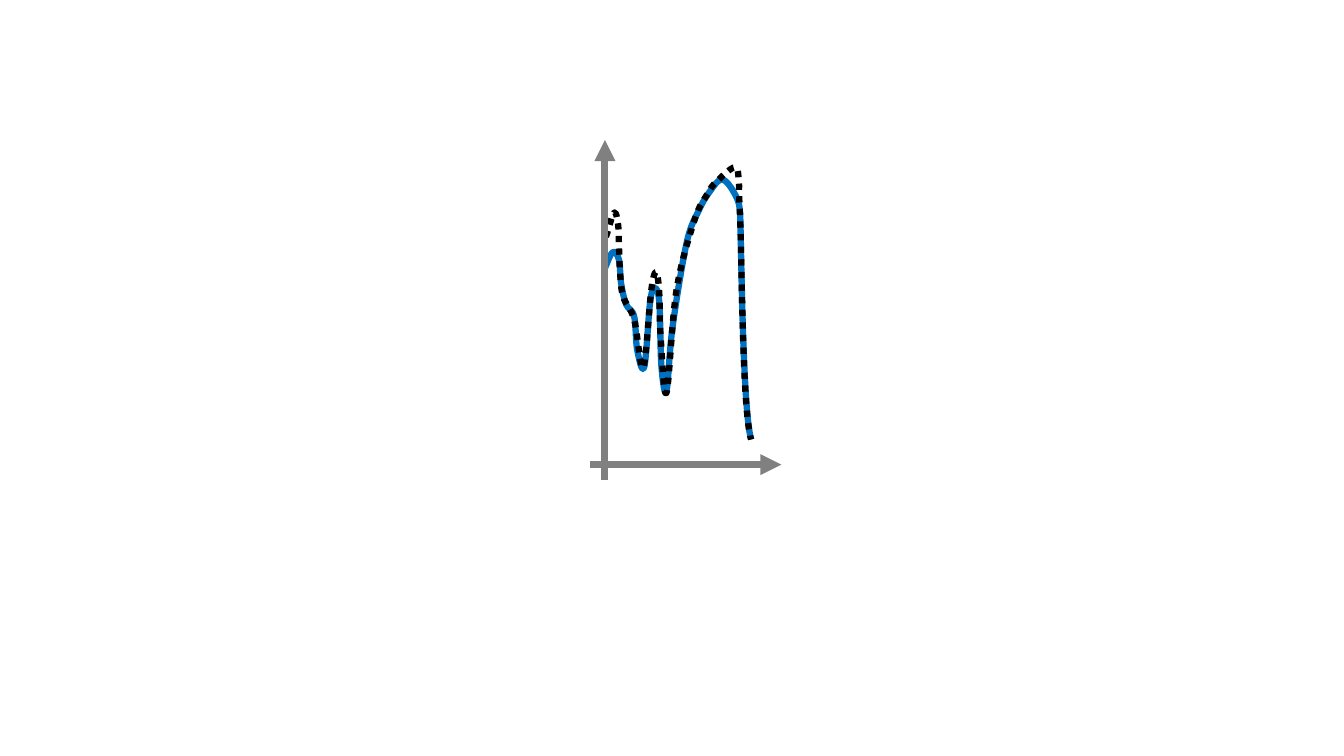
from pptx import Presentation
from pptx import util as u
from pptx.dml.color import RGBColor
from pptx.enum import dml, shapes
from pptx.oxml import ns
from lxml import etree

SMOOTH = {
    "bump": [(6, 2.66), (6.08, 2.5), (6.14, 2.58)],
    "shelf": [(6.16, 2.81), (6.21, 3.02), (6.29, 3.14)],
    "dip": [(6.32, 3.47), (6.39, 3.64), (6.45, 2.98)],
    "spike": [(6.5, 2.86), (6.54, 3.01), (6.56, 3.63)],
    "climb": [(6.61, 3.88), (6.67, 3.25), (6.81, 2.41), (6.93, 2.09), (7.04, 1.9)],
    "fall": [(7.16, 1.78), (7.28, 1.91), (7.34, 2.1), (7.45, 4.36)],
}
DOTTED = {
    "bump": [(6.01, 2.35), (6.09, 2.11), (6.13, 2.22), (6.14, 2.45)],
    "shelf": [(6.15, 2.69), (6.18, 2.94), (6.29, 3.17)],
    "dip": [(6.38, 3.65), (6.46, 2.88)],
    "spike": [(6.51, 2.7), (6.54, 2.92), (6.55, 3.29)],
    "climb": [(6.61, 3.9), (6.71, 2.88), (6.89, 2.18), (7.02, 1.92), (7.1, 1.81)],
    "fall": [(7.29, 1.66), (7.33, 1.83), (7.34, 2.14), (7.45, 4.36)],
}
HANDLES = {
    (6, 2.66): (0.03, -0.07),
    (6.01, 2.35): (0.03, -0.08),
    (7.34, 2.1): (0.01, 0.1),
    (7.45, 4.36): (0.09, 0.3),
}
CURVES = [
    (SMOOTH, "0070C0", {"width": u.Pt(4.5)}),
    (DOTTED, "000000", {"width": u.Pt(4.5), "dash_style": dml.MSO_LINE.ROUND_DOT}),
]
ORIGIN = (6, 4.61)
STUB = 0.15
RIGHT, TOP = 7.75, 1.39


def paint(line, tint, style):
    line.fill.solid()
    line.fill.fore_color.rgb = RGBColor.from_string(tint)
    for name, value in style.items():
        setattr(line, name, value)


def find_handle(before, knot, after):
    if knot in HANDLES:
        return HANDLES[knot]
    return tuple((b - a) / 6 for a, b in zip(before, after))


def shift(knot, handle, sign):
    return tuple(k + sign * h for k, h in zip(knot, handle))


def smooth(knots):
    before, after = knots[:1] + knots[:-1], knots[1:] + knots[-1:]
    slopes = [find_handle(*trio) for trio in zip(before, knots, after)]
    points = knots[:1]
    for i in range(1, len(knots)):
        points += [shift(knots[i - 1], slopes[i - 1], 1),
                   shift(knots[i], slopes[i], -1),
                   knots[i]]
    return points


def bend(shape):
    lines = list(shape.element.iter(ns.qn("a:lnTo")))
    for start in range(0, len(lines), 3):
        curve = etree.Element(ns.qn("a:cubicBezTo"))
        lines[start].addprevious(curve)
        for line in lines[start:start + 3]:
            curve.append(line[0])
            line.getparent().remove(line)


def draw_curve(group, parts, tint, style):
    knots = sum(parts.values(), [])
    spots = [(u.Inches(x), u.Inches(y)) for x, y in smooth(knots)]
    pen = group.shapes.build_freeform(*spots[0])
    pen.add_line_segments(spots[1:], close=False)
    curve = pen.convert_to_shape()
    bend(curve)
    curve.shadow.inherit = False
    curve.fill.background()
    paint(curve.line, tint, style)


def draw_axis(group, start, end):
    axis = group.shapes.add_connector(
        shapes.MSO_CONNECTOR.STRAIGHT, *map(u.Inches, start + end))
    paint(axis.line, "808080", {"width": u.Pt(5)})
    frame = axis.element.spPr
    etree.SubElement(frame.find(ns.qn("a:ln")), ns.qn("a:tailEnd"), type="triangle")
    etree.SubElement(frame, ns.qn("a:effectLst"))


def main():
    deck = Presentation()
    deck.slide_width, deck.slide_height = u.Inches(13.33), u.Inches(7.5)
    slide = deck.slides.add_slide(deck.slide_layouts[6])
    plot = slide.shapes.add_group_shape()
    for parts, tint, style in CURVES:
        draw_curve(plot, parts, tint, style)
    x, y = ORIGIN
    draw_axis(plot, (x - STUB, y), (RIGHT, y))
    draw_axis(plot, (x, y + STUB), (x, TOP))
    deck.save("out.pptx")


if __name__ == "__main__":
    main()
